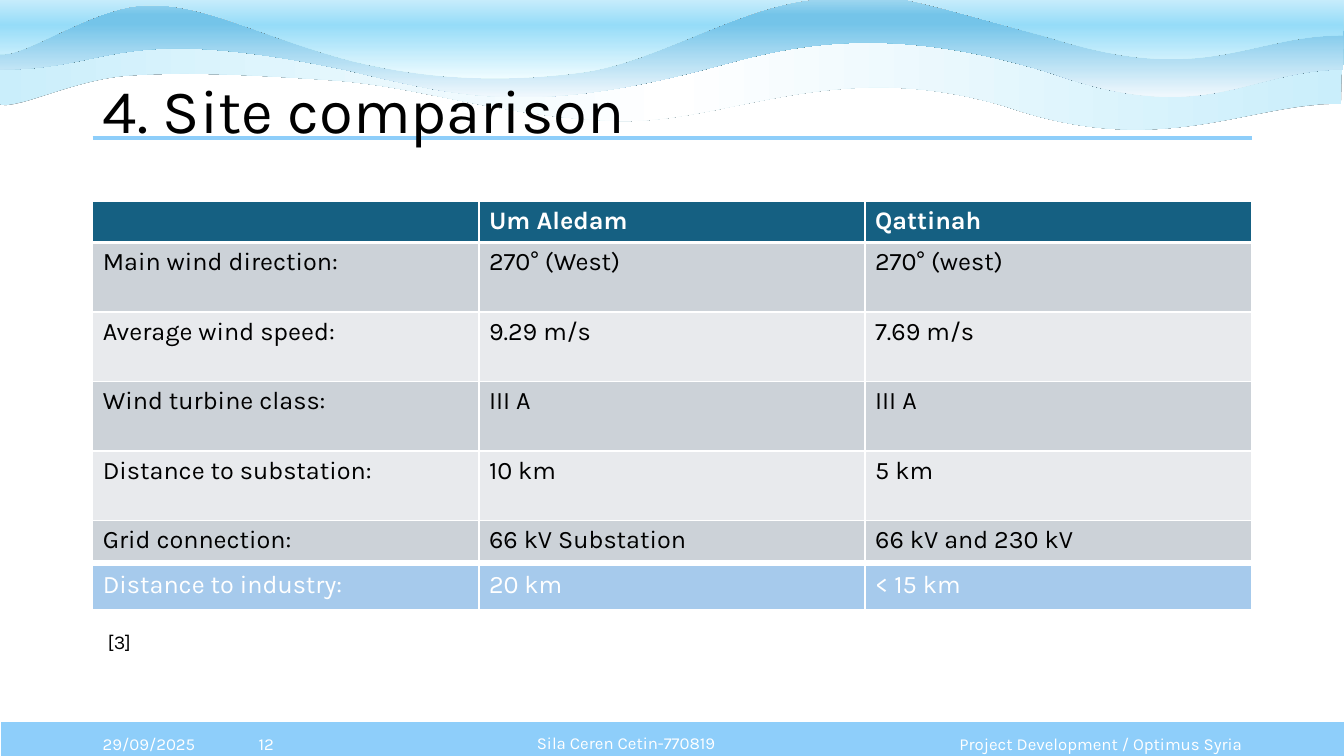
import lxml.etree
import pptx
import pptx.dml.color
import pptx.enum.shapes
import pptx.enum.text
import pptx.oxml.ns
import pptx.util

Inches = pptx.util.Inches
ALIGN = pptx.enum.text.PP_ALIGN
ANCHOR = pptx.enum.text.MSO_ANCHOR

# Content
TITLE = "4. Site comparison"
COMPARISON = [
    ("", "Um Aledam", "Qattinah"),
    ("Main wind direction:", "270° (West)", "270° (west)"),
    ("Average wind speed:", "9.29 m/s", "7.69 m/s"),
    ("Wind turbine class:", "III A", "III A"),
    ("Distance to substation:", "10 km", "5 km"),
    ("Grid connection:", "66 kV Substation", "66 kV and 230 kV"),
]
INDUSTRY = [("Distance to industry:", "20 km", "< 15 km")]
CITATION = "[3]"
FOOTER = [  # text, left, width, alignment, line spacing
    ("29/09/2025", 0.92, 1.22, ALIGN.LEFT, None),
    ("Project Development / Optimus Syria", 9.27, 3.15, ALIGN.RIGHT, None),
    ("12", 2.13, 1.02, ALIGN.CENTER, None),
    ("Sila Ceren Cetin-770819", 3.15, 6.12, ALIGN.CENTER, 0.9),
]

THEME = {
    "font": "Karla", "text": "000000", "light": "FFFFFF", "accent": "8ECEFA",
    "header": "156082", "bands": ("CCD2D8", "E8EAED"), "industry": "A6CAEC",
    "title_size": 44, "table_size": 18, "citation_size": 14, "footer_size": 12,
}
LEFT, WIDTH, COLUMN = 0.92, 11.5, 3.83

# Waves from back to front: frame, start, Bezier curves of the lower edge,
# top edge, gradient stops (percent, colour) and gradient angle
WAVES = [
    {"frame": (-0.04, 0.3, 13.36, 0.98), "start": (13.3, 1.03),
     "curves": [(12.37, 1.02, 11.52, 1.59, 9.99, 1.06), (8.27, 0.54, 7.21, 1.24, 6.1, 1.2),
                (4.99, 1.16, 4.21, 0.87, 3.35, 0.8), (2.49, 0.74, 1.83, 0.71, 1.27, 0.75),
                (0.71, 0.79, 0.14, 1.11, -0.02, 1.03), (-0.02, 0.8, -0.04, 0.53, -0.04, 0.3)],
     "top": [(3.13, 0.31), (6.52, 0.34), (9.41, 0.32), (13.32, 0.34)],
     "stops": [(0, "CAEEFB"), (50, "FFFFFF"), (100, "CAEEFB")], "angle": 0},
    {"frame": (0, -0.02, 13.33, 0.98), "start": (13.32, 0.69),
     "curves": [(12.39, 0.69, 11.96, 1.27, 10.44, 0.73), (8.71, 0.19, 7.73, 0.49, 7.06, 0.67),
                (5.28, 1.14, 4.59, 0.97, 3.46, 0.7), (1.13, 0.21, 1.15, 0.69, 0, 0.69),
                (0, 0.46, 0.01, 0.23, 0.01, -0.01)],
     "top": [(3.13, 0), (6.54, -0.02), (9.46, -0.01), (13.33, 0.03)],
     "stops": [(0, "A2D8F0"), (17, "74C4E9"), (26, "74C4E9"), (100, "F0F8FD")], "angle": 270},
    {"frame": (-0.03, -0.28, 13.36, 1.06), "start": (13.32, 0.35),
     "curves": [(12.39, 0.35, 11.96, 0.86, 10.44, 0.38), (8.72, -0.09, 8.91, -0.07, 8.13, -0.01),
                (7.35, 0.04, 6.53, 0.62, 5.76, 0.72), (4.98, 0.82, 4.24, 0.79, 3.47, 0.6),
                (2.58, 0.36, 2.07, 0.05, 1.5, 0.05), (0.92, 0.04, 0.22, 0.61, -0.03, 0.53),
                (-0.02, 0.32, 0.01, -0.06, 0.01, -0.27)],
     "top": [(3.13, -0.26), (6.54, -0.28), (9.46, -0.27), (13.33, -0.24)],
     "stops": [(0, "FFFFFF"), (50, "96DCF8"), (100, "EFFCFF")], "angle": 270},
]


def rgb(code):
    return pptx.dml.color.RGBColor.from_string(code)


def add_xml(parent, tag, **attributes):
    return lxml.etree.SubElement(parent, pptx.oxml.ns.qn(tag), attributes)


def find_xml(shape, tag):
    return next(shape._element.iter(pptx.oxml.ns.qn(tag)))


def write(frame, text, size, color=THEME["text"], bold=False, align=ALIGN.LEFT,
          anchor=ANCHOR.TOP, spacing=None):
    frame.word_wrap = True
    frame.vertical_anchor = anchor
    para = frame.paragraphs[0]
    para.alignment = align
    para.line_spacing = spacing
    span = para.add_run()
    span.text = text
    span.font.name = THEME["font"]
    span.font.size = pptx.util.Pt(size)
    span.font.bold = bold
    span.font.color.rgb = rgb(color)


def add_text(page, text, left, top, width, height, size, **style):
    box = page.shapes.add_textbox(Inches(left), Inches(top), Inches(width), Inches(height))
    write(box.text_frame, text, size, **style)


def add_wave(page, wave):
    left, top, width, height = (Inches(length) for length in wave["frame"])
    corners = [wave["start"]] + [curve[4:] for curve in wave["curves"]] + wave["top"]
    corners = [(Inches(x), Inches(y)) for x, y in corners]
    builder = page.shapes.build_freeform(*corners[0])
    builder.add_line_segments(corners[1:], close=True)
    shape = builder.convert_to_shape()
    shape.left, shape.top, shape.width, shape.height = left, top, width, height

    # Outline: curves along the lower edge, straight lines along the top
    outline = find_xml(shape, "a:path")
    for step in list(outline):
        outline.remove(step)
    outline.set("w", str(width))
    outline.set("h", str(height))
    segments = [("a:moveTo", wave["start"])]
    segments += [("a:cubicBezTo", curve) for curve in wave["curves"]]
    segments += [("a:lnTo", corner) for corner in wave["top"]]
    for tag, numbers in segments:
        step = add_xml(outline, tag)
        for x, y in zip(numbers[::2], numbers[1::2]):
            add_xml(step, "a:pt", x=str(Inches(x) - left), y=str(Inches(y) - top))
    add_xml(outline, "a:close")

    # Gradient fill and thin dark edge
    shape.line.fill.background()
    shape.fill.gradient()
    shape.fill.gradient_angle = wave["angle"]
    stop_list = find_xml(shape, "a:gsLst")
    for stop in list(stop_list):
        stop_list.remove(stop)
    for percent, color in wave["stops"]:
        stop = add_xml(stop_list, "a:gs", pos=str(percent * 1000))
        add_xml(stop, "a:srgbClr", val=color)
    shape.shadow.inherit = False
    edge = add_xml(find_xml(shape, "a:effectLst"), "a:outerShdw", blurRad="0", dist="0", dir="0")
    add_xml(edge, "a:srgbClr", val=THEME["text"])


def set_borders(cell, bottom):
    properties = cell._tc.get_or_add_tcPr()
    widths = {"a:lnL": 1, "a:lnR": 1, "a:lnT": 1, "a:lnB": bottom}
    for index, (tag, points) in enumerate(widths.items()):
        line = add_xml(properties, tag, w=str(pptx.util.Pt(points)))
        add_xml(add_xml(line, "a:solidFill"), "a:srgbClr", val=THEME["light"])
        properties.insert(index, line)


def add_site_table(page, rows, top, heights, row_styles):
    frame = page.shapes.add_table(len(rows), len(rows[0]), Inches(LEFT), Inches(top),
                                  Inches(WIDTH), Inches(sum(heights)))
    table = frame.table
    table.first_row = table.horz_banding = False
    for column in table.columns:
        column.width = Inches(COLUMN)
    for r, (values, height, style) in enumerate(zip(rows, heights, row_styles)):
        fill, color, bold, bottom = style
        table.rows[r].height = Inches(height)
        for c, value in enumerate(values):
            cell = table.cell(r, c)
            cell.fill.solid()
            cell.fill.fore_color.rgb = rgb(fill)
            set_borders(cell, bottom)
            if value:
                write(cell.text_frame, value, THEME["table_size"], color=color, bold=bold)
            else:
                cell.text_frame.paragraphs[0].font.size = pptx.util.Pt(THEME["table_size"])


def main():
    deck = pptx.Presentation()
    deck.slide_width, deck.slide_height = Inches(13.33), Inches(7.5)
    page = deck.slides.add_slide(deck.slide_layouts[5])

    # Footer band and waves
    band = page.shapes.add_shape(pptx.enum.shapes.MSO_SHAPE.RECTANGLE, 0, Inches(7.15),
                                 Inches(13.35), Inches(0.4))
    band.shadow.inherit = False
    band.fill.solid()
    band.fill.fore_color.rgb = rgb(THEME["accent"])
    band.line.color.rgb = rgb(THEME["light"])
    band.line.width = pptx.util.Pt(1.5)
    for wave in WAVES:
        add_wave(page, wave)

    # Title with its rule, in front of the waves
    rule = page.shapes.add_connector(pptx.enum.shapes.MSO_CONNECTOR.STRAIGHT, Inches(LEFT),
                                     Inches(1.37), Inches(LEFT + WIDTH), Inches(1.37))
    rule.line.color.rgb = rgb(THEME["accent"])
    rule.line.width = pptx.util.Pt(3)
    add_xml(rule._element.spPr, "a:effectLst")
    title = page.shapes.title
    title.left, title.top = Inches(LEFT), Inches(0.4)
    title.width, title.height = Inches(WIDTH), Inches(1.45)
    write(title.text_frame, TITLE, THEME["title_size"], anchor=ANCHOR.MIDDLE, spacing=0.9)
    page.shapes._spTree.append(title._element)

    # Tables: header, banded rows, then the industry row
    header = (THEME["header"], THEME["light"], True, 3)
    banded = [(THEME["bands"][i % 2], THEME["text"], False, 1)
              for i in range(len(COMPARISON) - 1)]
    add_site_table(page, COMPARISON, 2, [0.39] + [0.69] * 4 + [0.4], [header] + banded)
    add_site_table(page, INDUSTRY, 5.61, [0.45],
                   [(THEME["industry"], THEME["light"], False, 3)])

    # Citation and footer texts
    add_text(page, CITATION, 0.97, 6.2, 2.32, 0.34, THEME["citation_size"])
    for text, left, width, align, spacing in FOOTER:
        add_text(page, text, left, 7.18, width, 0.4, THEME["footer_size"], spacing=spacing,
                 color=THEME["light"], align=align, anchor=ANCHOR.MIDDLE)

    deck.save("out.pptx")


if __name__ == "__main__":
    main()
